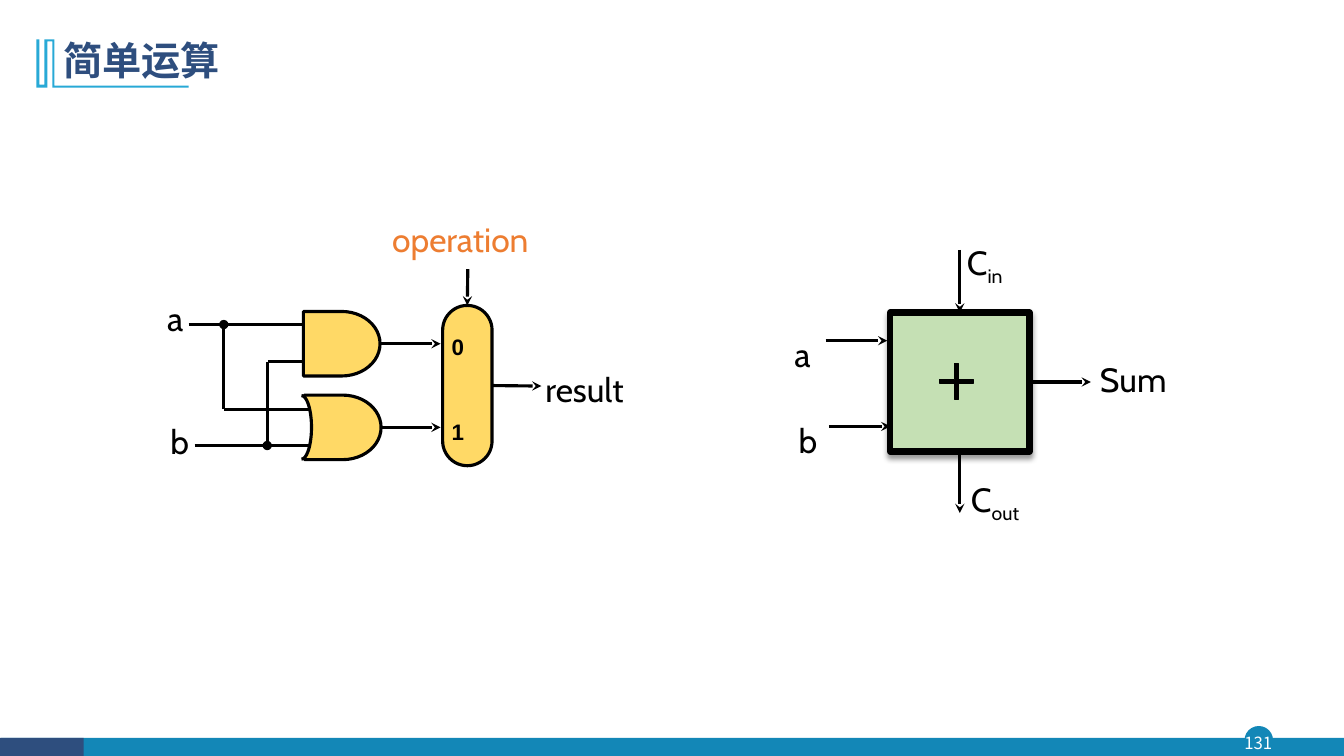
import math
import pptx
import pptx.util
import pptx.dml.color
import pptx.enum.shapes
import pptx.enum.text
import pptx.oxml
import pptx.oxml.ns
from lxml import etree

RGB = pptx.dml.color.RGBColor
KIND = pptx.enum.shapes.MSO_SHAPE
ALIGN = pptx.enum.text.PP_ALIGN
ANCHOR = pptx.enum.text.MSO_ANCHOR
qn = pptx.oxml.ns.qn

BLACK = RGB(0x00, 0x00, 0x00)
WHITE = RGB(0xFF, 0xFF, 0xFF)
NAVY = RGB(0x2E, 0x4E, 0x7E)
TEAL = RGB(0x13, 0x87, 0xB7)
SKY = RGB(0x28, 0xA9, 0xD6)
GOLD = RGB(0xFF, 0xD9, 0x66)
GREEN = RGB(0xC5, 0xE0, 0xB4)
ORANGE = RGB(0xED, 0x7D, 0x31)
HAN = "Noto Sans CJK SC"
WIRE = 2.25
TOP, LEFT, BOTTOM, RIGHT = range(4)


def px(n):
    """100 px make one inch."""
    return pptx.util.Emu(round(n * 9144))


class Board:
    font = "Cabin"
    size = 24

    def __init__(self, deck):
        self.slide = deck.slides.add_slide(deck.slide_layouts[6])
        self.shapes = self.slide.shapes

    def group(self):
        self.shapes = self.slide.shapes.add_group_shape().shapes

    def paint(self, shape, fill, line, width):
        shape.shadow.inherit = False
        shape.fill.solid()
        shape.fill.fore_color.rgb = fill
        if line is None:
            shape.line.fill.background()
        else:
            shape.line.color.rgb = line
            shape.line.width = pptx.util.Pt(width)
        return shape

    def shape(self, kind, x, y, w, h, fill, line=None, width=WIRE):
        shape = self.shapes.add_shape(kind, px(x), px(y), px(w), px(h))
        return self.paint(shape, fill, line, width)

    def free(self, points, fill, line=None, width=WIRE, close=True):
        spots = [(px(x), px(y)) for x, y in points]
        pen = self.shapes.build_freeform(*spots[0], scale=1.0)
        pen.add_line_segments(spots[1:], close=close)
        return self.paint(pen.convert_to_shape(), fill, line, width)

    def wire(self, x1, y1, x2, y2, head=None, tail=None, start=None, end=None):
        wire = self.shapes.add_connector(
            pptx.enum.shapes.MSO_CONNECTOR.STRAIGHT, px(x1), px(y1), px(x2), px(y2))
        if start:
            wire.begin_connect(*start)
        if end:
            wire.end_connect(*end)
        wire.line.color.rgb = BLACK
        wire.line.width = pptx.util.Pt(WIRE)
        props = wire._element.spPr
        for tag, tip in (("a:headEnd", head), ("a:tailEnd", tail)):
            if tip:
                etree.SubElement(props.find(qn("a:ln")), qn(tag)).set("type", tip)
        etree.SubElement(props, qn("a:effectLst"))

    def arrow(self, x1, y1, x2, y2, start=None, end=None):
        self.wire(x1, y1, x2, y2, tail="stealth", start=start, end=end)

    def text(self, x, y, w, h, words, sub=None, size=None, font=None, color=BLACK,
             bold=False, inset=(0, 0), wrap=False, align=ALIGN.LEFT,
             anchor=ANCHOR.TOP, space=None):
        frame = self.shapes.add_textbox(px(x), px(y), px(w), px(h)).text_frame
        frame.word_wrap = wrap
        frame.vertical_anchor = anchor
        frame.margin_left = frame.margin_right = px(inset[0])
        frame.margin_top = frame.margin_bottom = px(inset[1])
        para = frame.paragraphs[0]
        para.text = words
        para.alignment = align
        para.line_spacing = space
        if sub:
            low = para.add_run()
            low.text = sub
            low.font._element.set("baseline", "-25000")
        for run in para.runs:
            run.font.size = pptx.util.Pt(size or self.size)
            run.font.bold = bold
            run.font.color.rgb = color
            run.font.name = font or self.font
            latin = run.font._element.find(qn("a:latin"))
            east = etree.Element(qn("a:ea"))
            east.set("typeface", font or self.font)
            latin.addnext(east)

    def shade(self, shape):
        shape.shadow.inherit = False
        glow = shape._element.spPr.find(qn("a:effectLst"))
        glow.append(pptx.oxml.parse_xml(
            '<a:outerShdw xmlns:a="http://schemas.openxmlformats.org/drawingml/2006/main"'
            ' blurRad="50800" dist="38100" dir="5400000" algn="t" rotWithShape="0">'
            '<a:srgbClr val="000000"><a:alpha val="40000"/></a:srgbClr></a:outerShdw>'))


def frame(board):
    # Footer bar and page number
    board.shape(KIND.OVAL, 1235, 721, 27, 27, TEAL, TEAL, 1)
    board.shape(KIND.RECTANGLE, 1, 732, 1332, 19, TEAL)
    board.shape(KIND.RECTANGLE, 0, 732, 83, 19, NAVY)
    board.text(1232, 721, 32, 31, "131", size=12, font=HAN, color=WHITE,
               wrap=True, align=ALIGN.CENTER, anchor=ANCHOR.MIDDLE)
    # Title with its bracket mark
    board.free([(54, 39), (54, 85), (187, 85), (187, 87), (52, 87), (52, 41),
                (47, 41), (47, 87), (36, 87), (36, 39), (39, 39), (39, 84),
                (44, 84), (44, 39)], SKY)
    board.text(53, 28, 1150, 68, "简单运算", size=28, font=HAN, color=NAVY, bold=True,
               inset=(10, 5), wrap=True, anchor=ANCHOR.MIDDLE, space=0.9)


def logic(board):
    board.group()
    # Gates and selector
    both = board.shape(KIND.FLOWCHART_DELAY, 301, 309, 76, 64, GOLD, BLACK)
    either = board.shape(KIND.FLOWCHART_DELAY, 302, 392, 76, 64, GOLD, BLACK)
    turns = [math.pi * (i / 24 - 0.5) for i in range(25)]
    board.free([(299 + 10 * math.cos(t), 424 + 31.5 * math.sin(t)) for t in turns],
               WHITE, BLACK, close=False)
    mux = board.shape(KIND.ROUNDED_RECTANGLE, 439, 303, 49, 159, GOLD, BLACK)
    mux.adjustments[0] = 0.5
    # Input wires and branches
    board.wire(187, 322, 301, 322)
    board.wire(266, 359, 301, 359)
    board.wire(222, 406, 306, 406)
    board.wire(193, 442, 308, 442)
    board.wire(222, 322, 222, 406, head="oval")
    board.wire(265, 442, 265, 359, head="oval")
    # Arrows through the selector
    board.arrow(377, 341, 437, 341, start=(both, RIGHT))
    board.arrow(378, 424, 437, 424, start=(either, RIGHT))
    board.arrow(464, 267, 464, 303, end=(mux, TOP))
    board.arrow(488, 383, 537, 383, start=(mux, RIGHT))
    # Labels
    for digit, y in (("0", 325), ("1", 409)):
        board.text(444, y, 20, 29, digit, size=16, font="Arial", bold=True,
                   wrap=True, align=ALIGN.CENTER, space=1.2)
    board.text(541, 358, 145, 44, "result", wrap=True, space=1.2)
    board.text(379, 212, 169, 50, "operation", color=ORANGE, inset=(10, 5))
    board.text(156, 291, 38, 50, "a", inset=(10, 5))
    board.text(159, 413, 41, 50, "b", inset=(10, 5))


def adder(board):
    board.group()
    # Adder block with its plus sign
    block = board.shape(KIND.RECTANGLE, 883, 310, 138, 138, GREEN, BLACK, 4.5)
    board.shade(block)
    board.free([(947, 361), (951, 361), (951, 377), (966, 377), (966, 380), (951, 380),
                (951, 396), (947, 396), (947, 380), (932, 380), (932, 377), (947, 377)],
               BLACK, BLACK, 0.75)
    # Arrows in and out
    board.arrow(819, 338, 880, 338)
    board.arrow(822, 423, 883, 423)
    board.arrow(1021, 379, 1082, 379, start=(block, RIGHT))
    board.arrow(952, 448, 952, 509, start=(block, BOTTOM))
    board.arrow(952, 248, 952, 310, end=(block, TOP))
    # Labels
    for x, y, w, words, sub in ((1091, 356, 68, "Sum", None), (959, 240, 40, "C", "in"),
                                (963, 475, 55, "C", "out"), (788, 331, 18, "a", None),
                                (792, 417, 20, "b", None)):
        board.text(x, y, w, 40, words, sub)


def main():
    deck = pptx.Presentation()
    deck.slide_width, deck.slide_height = px(1333), px(750)
    board = Board(deck)
    frame(board)
    logic(board)
    adder(board)
    deck.save("out.pptx")


if __name__ == "__main__":
    main()
